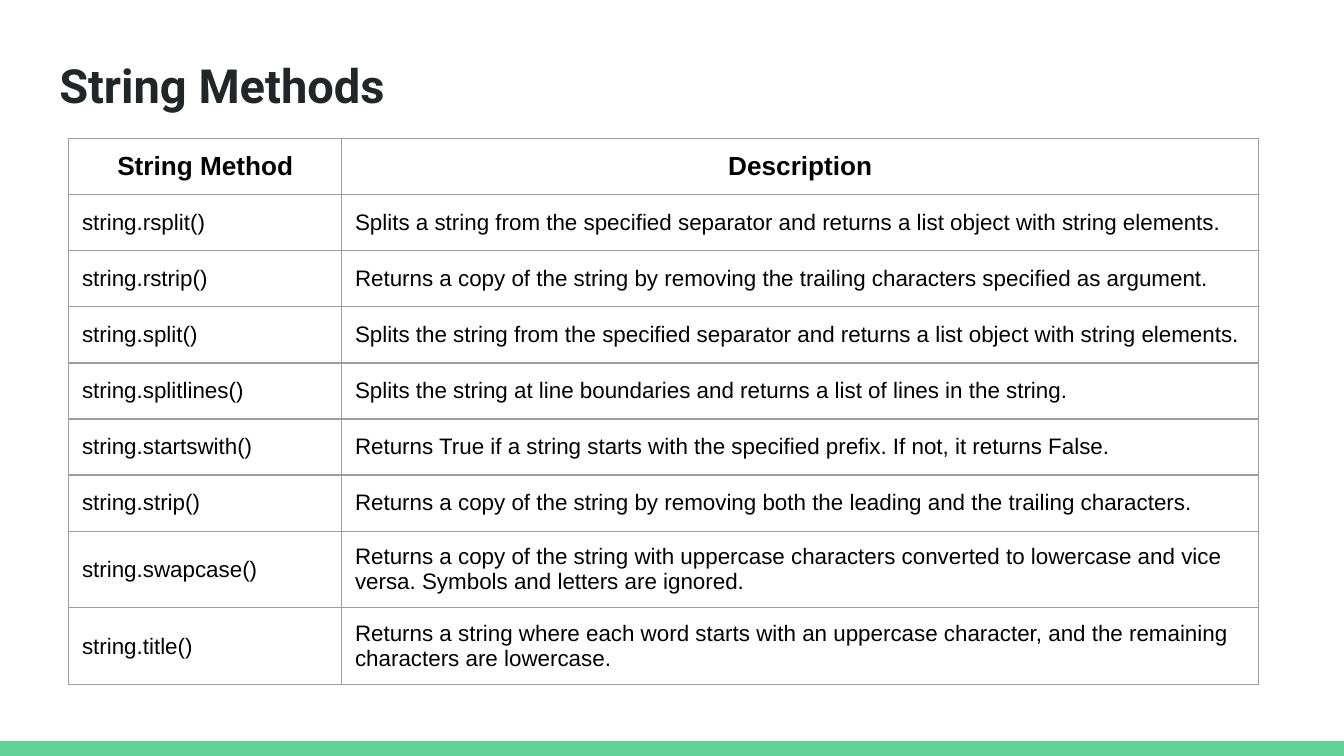
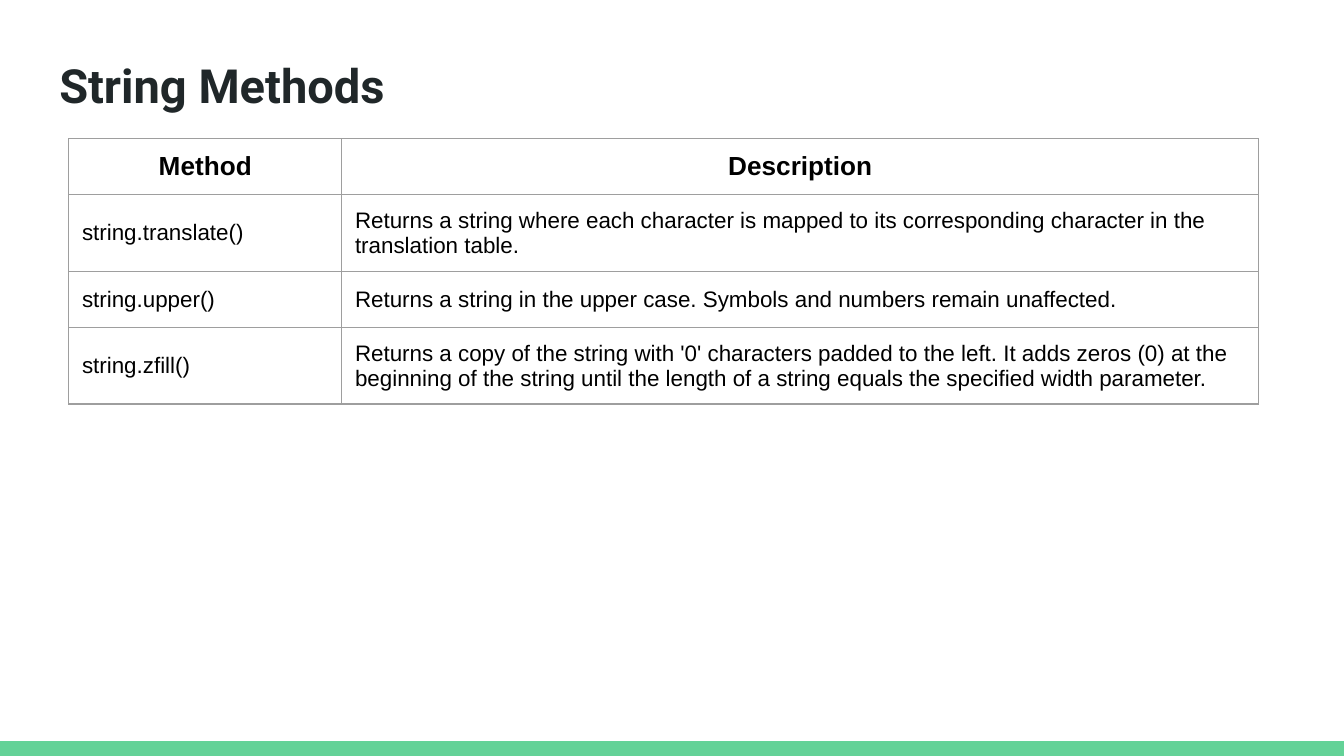
import pptx
import pptx.dml.color
import pptx.enum.shapes
import pptx.enum.text
import pptx.oxml.ns
import pptx.util
from lxml import etree

Cm = pptx.util.Cm
ALIGN = pptx.enum.text.PP_ALIGN
ANCHOR = pptx.enum.text.MSO_ANCHOR

# Shared style
GREEN, INK, BLACK, GREY = "63D297", "202729", "000000", "9E9E9E"
TITLE_FONT, BODY_FONT = "Roboto", "Arial"
WIDTH, HEIGHT, BAND_H = 25.4, 14.29, 0.28
INSET = 0.25
COL_WIDTHS, ROW_H = (5.16, 17.33), 1.06

SPLIT_METHODS = [
    ("String Method", "Description"),
    ("string.rsplit()", "Splits a string from the specified separator and returns a list object with string elements."),
    ("string.rstrip()", "Returns a copy of the string by removing the trailing characters specified as argument."),
    ("string.split()", "Splits the string from the specified separator and returns a list object with string elements."),
    ("string.splitlines()", "Splits the string at line boundaries and returns a list of lines in the string."),
    ("string.startswith()", "Returns True if a string starts with the specified prefix. If not, it returns False."),
    ("string.strip()", "Returns a copy of the string by removing both the leading and the trailing characters."),
    ("string.swapcase()", "Returns a copy of the string with uppercase characters converted to lowercase "
     "and vice versa. Symbols and letters are ignored."),
    ("string.title()", "Returns a string where each word starts with an uppercase character, "
     "and the remaining characters are lowercase."),
]
TRANSLATE_METHODS = [
    ("Method", "Description"),
    ("string.translate()", "Returns a string where each character is mapped to its corresponding character "
     "in the translation table."),
    ("string.upper()", "Returns a string in the upper case. Symbols and numbers remain unaffected."),
    ("string.zfill()", "Returns a copy of the string with '0' characters padded to the left. It adds zeros (0) "
     "at the beginning of the string until the length of a string equals the specified width parameter."),
]


def rgb(color):
    return pptx.dml.color.RGBColor.from_string(color)


def set_text(tf, text, size=12, font=BODY_FONT, color=BLACK, bold=False, align=ALIGN.LEFT):
    tf.word_wrap = True
    p = tf.paragraphs[0]
    p.alignment = align
    r = p.add_run()
    r.text = text
    r.font.size = pptx.util.Pt(size)
    r.font.name = font
    r.font.bold = bold
    r.font.color.rgb = rgb(color)


def set_insets(box):
    box.margin_left = box.margin_right = box.margin_top = box.margin_bottom = Cm(INSET)


def set_borders(cell, color=GREY, width=0.75):
    qn = pptx.oxml.ns.qn
    tcPr = cell._tc.get_or_add_tcPr()
    for side in ("a:lnL", "a:lnR", "a:lnT", "a:lnB"):
        ln = etree.SubElement(tcPr, qn(side), w=str(pptx.util.Pt(width)))
        fill = etree.SubElement(ln, qn("a:solidFill"))
        etree.SubElement(fill, qn("a:srgbClr"), val=color)


def add_band(slide):
    sp = slide.shapes.add_shape(pptx.enum.shapes.MSO_SHAPE.RECTANGLE,
                                0, Cm(HEIGHT - BAND_H), Cm(WIDTH), Cm(BAND_H))
    sp.shadow.inherit = False
    sp.fill.solid()
    sp.fill.fore_color.rgb = rgb(GREEN)
    sp.line.fill.background()


def add_title(slide, text):
    sp = slide.shapes.title
    sp.left, sp.top, sp.width, sp.height = Cm(0.87), Cm(0.82), Cm(23.67), Cm(1.6)
    tf = sp.text_frame
    tf.auto_size = pptx.enum.text.MSO_AUTO_SIZE.NONE
    tf.vertical_anchor = ANCHOR.TOP
    set_insets(tf)
    set_text(tf, text, size=25.2, font=TITLE_FONT, color=INK, bold=True)


def add_method_table(slide, rows):
    frame = slide.shapes.add_table(len(rows), len(COL_WIDTHS), Cm(1.3), Cm(2.62),
                                   Cm(sum(COL_WIDTHS)), Cm(ROW_H * len(rows)))
    table = frame.table
    table.first_row = table.horz_banding = False
    for column, width in zip(table.columns, COL_WIDTHS):
        column.width = Cm(width)
    for i, row in enumerate(rows):
        table.rows[i].height = Cm(ROW_H)
        for j, text in enumerate(row):
            cell = table.cell(i, j)
            set_borders(cell)
            cell.fill.background()
            set_insets(cell)
            if i == 0:
                cell.vertical_anchor = ANCHOR.TOP
                set_text(cell.text_frame, text, size=14, bold=True, align=ALIGN.CENTER)
            else:
                cell.vertical_anchor = ANCHOR.MIDDLE
                set_text(cell.text_frame, text)


def add_method_slide(prs, rows):
    slide = prs.slides.add_slide(prs.slide_layouts[5])
    add_band(slide)
    add_title(slide, "String Methods")
    add_method_table(slide, rows)


def main():
    prs = pptx.Presentation()
    prs.slide_width, prs.slide_height = Cm(WIDTH), Cm(HEIGHT)
    for rows in (SPLIT_METHODS, TRANSLATE_METHODS):
        add_method_slide(prs, rows)
    prs.save("out.pptx")


if __name__ == "__main__":
    main()
